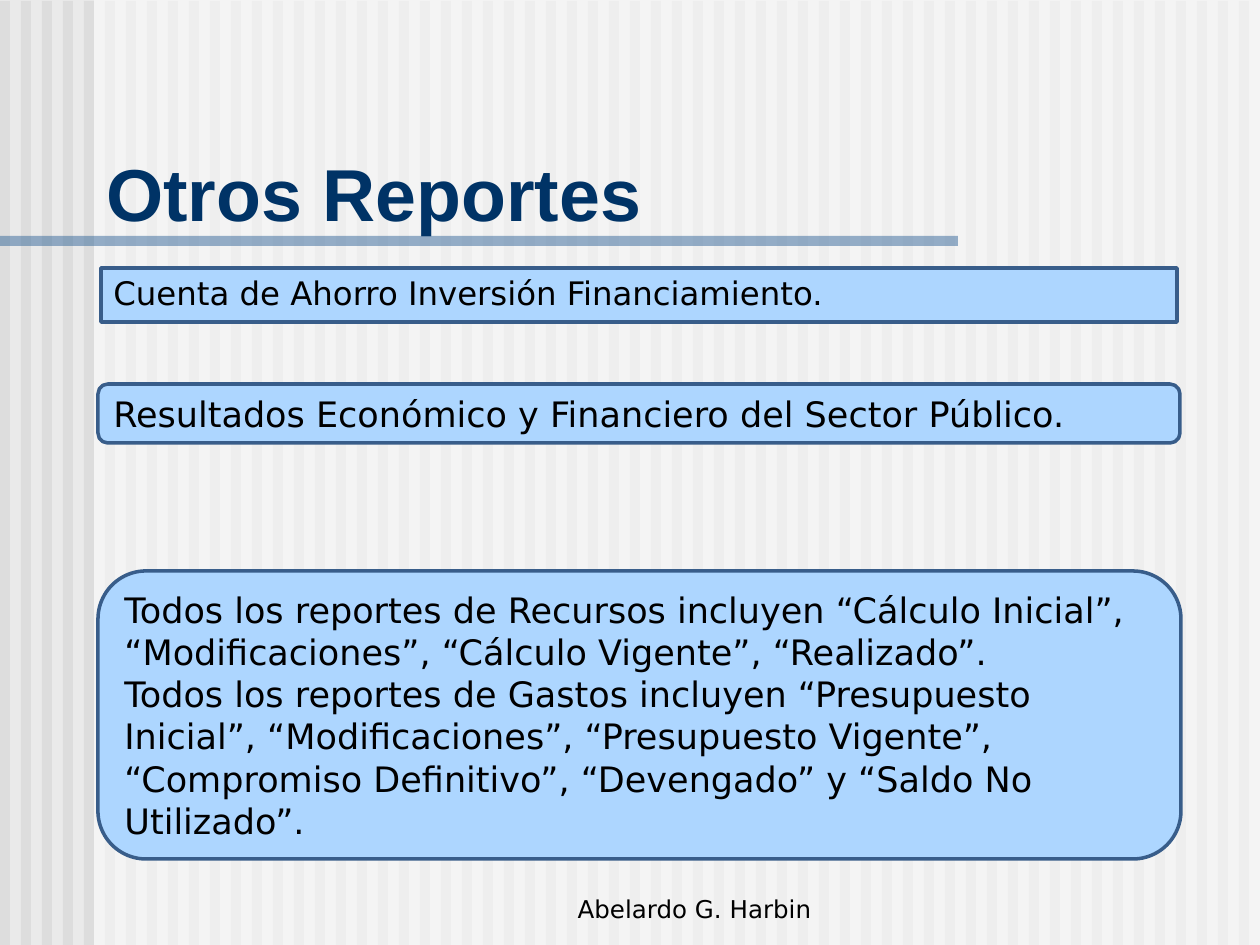
from dataclasses import dataclass

from pptx import Presentation
from pptx import util as u
from pptx.dml.color import RGBColor
from pptx.enum import shapes, text
from pptx.oxml import parse_xml
from pptx.oxml.ns import nsdecls

PX = u.Inches(1) / 126
SLIDE_W, SLIDE_H = 1260, 945
RECT = shapes.MSO_SHAPE.RECTANGLE
ROUNDED = shapes.MSO_SHAPE.ROUNDED_RECTANGLE


@dataclass(frozen=True)
class Theme:
    background: str = "EAEAEA"
    stripe: str = "DDDDDD"
    veil: str = "FFFFFF"
    rule: str = "336699"
    title: str = "003366"
    body: str = "000000"
    panel: str = "ADD6FF"
    outline: str = "385D8A"
    title_font: str = "Arial"
    body_font: str = "DejaVu Sans"
    title_size: float = 42
    item_size: float = 18.5
    body_size: float = 20
    footer_size: float = 14
    outline_width: float = 2


T = Theme()


@dataclass(frozen=True)
class Box:
    x: int
    y: int
    w: int
    h: int

    def emu(self) -> list[u.Emu]:
        return [u.Emu(round(v * PX)) for v in (self.x, self.y, self.w, self.h)]


@dataclass(frozen=True)
class Panel:
    box: Box
    kind: shapes.MSO_SHAPE
    size: float
    lines: tuple[str, ...]
    spacing: float = 1.0


def set_text(sp, lines: tuple[str, ...], size: float, color: str = T.body,
             font: str = T.body_font, bold: bool = False,
             anchor=text.MSO_ANCHOR.MIDDLE, align=text.PP_ALIGN.LEFT,
             spacing: float = 1.0) -> None:
    tf = sp.text_frame
    tf.text = "\n".join(lines)
    tf.word_wrap = True
    tf.vertical_anchor = anchor
    for p in tf.paragraphs:
        p.alignment = align
        p.line_spacing = spacing
        for r in p.runs:
            r.font.name = font
            r.font.size = u.Pt(size)
            r.font.bold = bold
            r.font.color.rgb = RGBColor.from_string(color)


def add_block(parent, box: Box, fill: str, kind=RECT, alpha: int = 100):
    sp = parent.add_shape(kind, *box.emu())
    sp.shadow.inherit = False
    sp.fill.solid()
    sp.fill.fore_color.rgb = RGBColor.from_string(fill)
    sp.line.fill.background()
    if alpha < 100:
        color = sp.fill._xPr.solidFill.srgbClr
        color.append(parse_xml(f'<a:alpha {nsdecls("a")} val="{alpha * 1000}"/>'))
    return sp


def add_panel(parent, panel: Panel) -> None:
    sp = add_block(parent, panel.box, T.panel, panel.kind)
    sp.line.color.rgb = RGBColor.from_string(T.outline)
    sp.line.width = u.Pt(T.outline_width)
    set_text(sp, panel.lines, panel.size, spacing=panel.spacing)


PANELS = [
    Panel(Box(101, 268, 1076, 54), RECT, T.item_size,
          ("Cuenta de Ahorro Inversión Financiamiento.",), 0.9),
    Panel(Box(98, 384, 1082, 59), ROUNDED, T.body_size,
          ("Resultados Económico y Financiero del Sector Público.",)),
    Panel(Box(98, 571, 1083, 288), ROUNDED, T.body_size,
          ("Todos los reportes de Recursos incluyen “Cálculo Inicial”, "
           "“Modificaciones”, “Cálculo Vigente”, “Realizado”.",
           "Todos los reportes de Gastos incluyen “Presupuesto Inicial”, "
           "“Modificaciones”, “Presupuesto Vigente”, “Compromiso Definitivo”, "
           "“Devengado” y “Saldo No Utilizado”.")),
]


def main() -> None:
    prs = Presentation()
    prs.slide_width, prs.slide_height = Box(0, 0, SLIDE_W, SLIDE_H).emu()[2:]
    slide = prs.slides.add_slide(prs.slide_layouts[6])
    slide.background.fill.solid()
    slide.background.fill.fore_color.rgb = RGBColor.from_string(T.background)

    # Striped backdrop, veiled to the right of the margin
    backdrop = slide.shapes.add_group_shape().shapes
    for x in range(0, SLIDE_W, 21):
        add_block(backdrop, Box(x, 1, 10, SLIDE_H - 1), T.stripe)
    add_block(backdrop, Box(94, 0, SLIDE_W - 94, SLIDE_H), T.veil, alpha=50)
    add_block(backdrop, Box(0, 236, 958, 10), T.rule, alpha=50)

    # Title
    title = slide.shapes.add_textbox(*Box(94, 140, 1134, 102).emu())
    set_text(title, ("Otros Reportes",), T.title_size, T.title, T.title_font,
             bold=True, anchor=text.MSO_ANCHOR.BOTTOM)

    # Report panels
    for panel in PANELS:
        add_panel(slide.shapes, panel)

    # Footer
    footer = slide.shapes.add_textbox(*Box(495, 867, 399, 63).emu())
    set_text(footer, ("Abelardo G. Harbin",), T.footer_size,
             anchor=text.MSO_ANCHOR.BOTTOM, align=text.PP_ALIGN.CENTER)

    prs.save("out.pptx")


if __name__ == "__main__":
    main()
